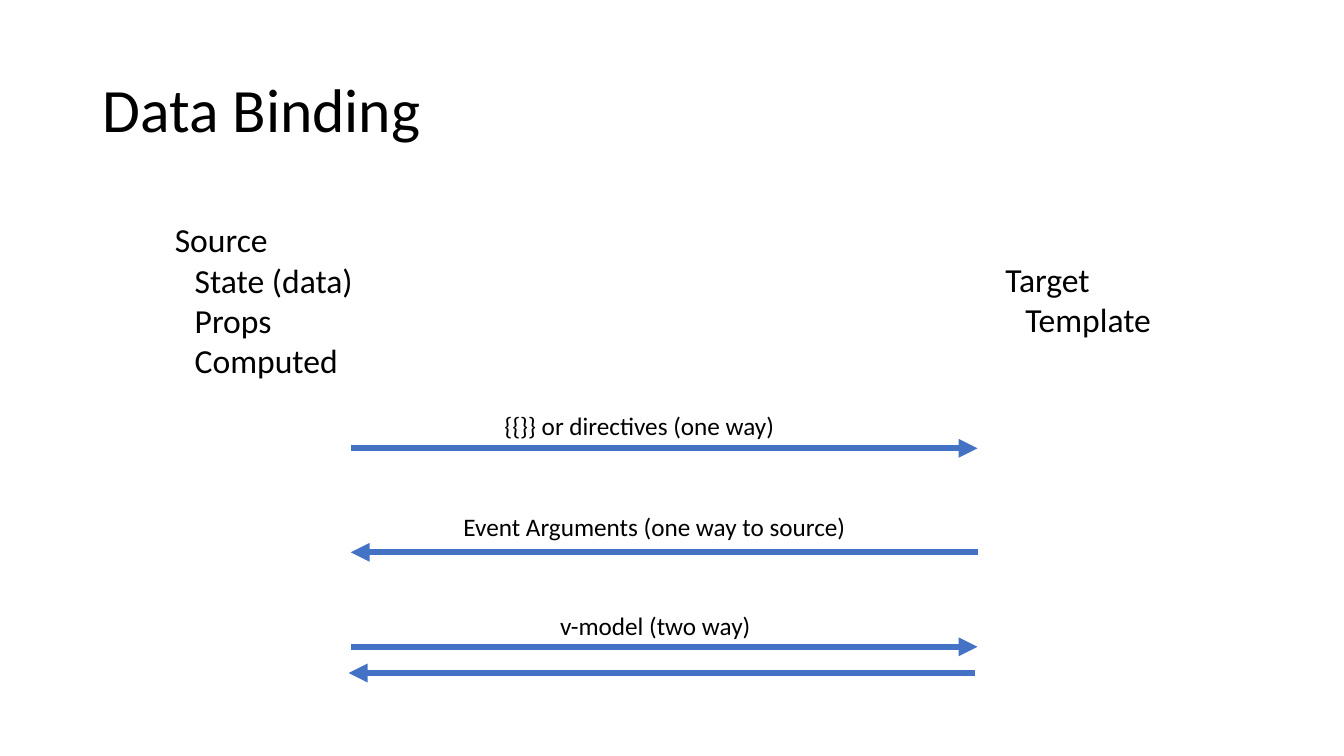
from lxml.etree import SubElement
from pptx import Presentation
from pptx.dml.color import RGBColor as RGB
from pptx.enum.shapes import MSO_CONNECTOR as CONN
from pptx.enum.text import MSO_ANCHOR as ANCHOR, MSO_AUTO_SIZE as AUTO, PP_ALIGN as ALIGN
from pptx.oxml.ns import qn
from pptx.util import Pt

PX = 9525
COLORS = {"text": "000000", "arrow": "4472C4"}
INDENT = 19
LEFT, RIGHT = 334, 931


def px(*lengths):
    """Turn pixel lengths into EMU."""
    return [n * PX for n in lengths]


def set_all(obj, values):
    """Set each named attribute of an object."""
    for name, value in values.items():
        setattr(obj, name, value)


def style(p, size):
    """Give a paragraph its alignment and font."""
    p.alignment = ALIGN.LEFT
    set_all(p.font, {"name": "Calibri", "size": Pt(size)})
    p.font.color.rgb = RGB.from_string(COLORS["text"])


def add_title(s, box, text):
    """Place and format the title placeholder."""
    sp = s.shapes.title
    set_all(sp, dict(zip(("left", "top", "width", "height"), px(*box))))
    tf = sp.text_frame
    tf.text = text
    set_all(tf, {"vertical_anchor": ANCHOR.MIDDLE, "auto_size": AUTO.NONE})
    p = tf.paragraphs[0]
    style(p, 44)
    p.line_spacing = 0.9


def add_text(s, box, size, head, items=()):
    """Write a heading with indented items below it."""
    tf = s.shapes.add_textbox(*px(*box)).text_frame
    set_all(tf, {"word_wrap": False, "auto_size": AUTO.SHAPE_TO_FIT_TEXT})
    tf.text = "\n".join((head, *items))
    for i, p in enumerate(tf.paragraphs):
        style(p, size)
        if i:
            p._p.get_or_add_pPr().set("marL", str(INDENT * PX))


def add_arrow(s, start, end, y):
    """Draw a horizontal arrow pointing at its end."""
    c = s.shapes.add_connector(CONN.STRAIGHT, *px(start, y, end, y))
    c.line.width = Pt(4.5)
    c.line.color.rgb = RGB.from_string(COLORS["arrow"])
    SubElement(c.line._get_or_add_ln(), qn("a:tailEnd"), type="triangle")
    SubElement(c._element.spPr, qn("a:effectLst"))


def add_flow(s, label, box, arrows):
    """Place a labelled binding with its arrows below the label."""
    add_text(s, box, 18, label)
    for start, end, drop in arrows:
        add_arrow(s, start, end, box[1] + drop)


def main():
    """Build the data binding slide."""
    prs = Presentation()
    set_all(prs, {"slide_width": 1280 * PX, "slide_height": 720 * PX})
    s = prs.slides.add_slide(prs.slide_layouts[5])
    add_title(s, (88, 38, 1104, 139), "Data Binding")
    add_text(s, (157, 204, 190, 165), 24, "Source", ("State (data)", "Props", "Computed"))
    add_text(s, (948, 242, 159, 87), 24, "Target", ("Template",))
    add_flow(s, "{{}} or directives (one way)", (471, 386, 279, 38), [(LEFT, RIGHT, 41)])
    add_flow(s, "Event Arguments (one way to source)", (432, 482, 388, 38), [(RIGHT, LEFT, 44)])
    add_flow(s, "v-model (two way)", (524, 577, 204, 38),
             [(LEFT, RIGHT, 39), (RIGHT - 2, LEFT - 2, 64)])
    prs.save("out.pptx")


if __name__ == "__main__":
    main()
